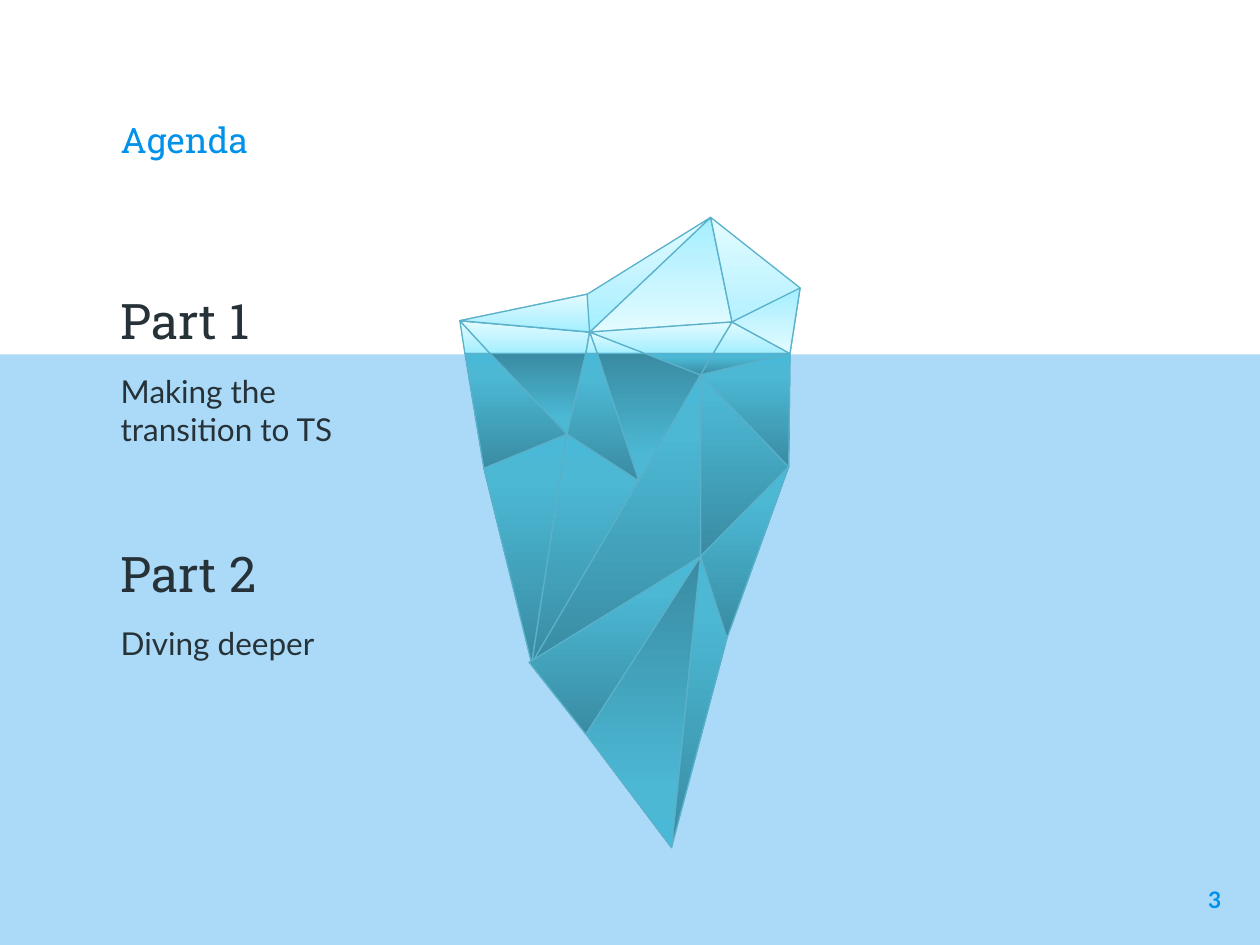
from copy import deepcopy

from lxml.etree import SubElement
from pptx import Presentation
from pptx.dml.color import RGBColor
from pptx.enum.shapes import MSO_SHAPE as Preset
from pptx.enum.text import MSO_ANCHOR as Anchor, PP_ALIGN as Align
from pptx.oxml.ns import qn
from pptx.util import Inches, Pt

COLORS = {"blue": "0091EA", "ink": "263238", "edge": "5AB1C9"}
SHADES = {
    "ice": [(0, "A1EFFF"), (0.35, "BBF2FF"), (1, "E3FCFF")],
    "deep": [(0, "398BA2"), (0.8, "4CB8D4"), (1, "4AB9D8")],
}
HEADING, BODY = "Roboto Slab", "Lato"
WIDTH, HEIGHT = Inches(10), Inches(7.5)
LEFT_SHARE, WATER_SHARE = 0.086, 0.375
COLUMNS, ROWS, WATERLINE = 270, 500, 108

CORNERS = {
    "peak": (199, 0), "shoulder": (270, 56), "tip": (0, 82),
    "ridge": (101, 61), "hollow": (103, 91), "crest": (216, 83),
    "shore1": (4, WATERLINE), "shore2": (24, WATERLINE),
    "shore3": (100, WATERLINE), "shore4": (109, WATERLINE),
    "shore5": (147, WATERLINE), "shore6": (201, WATERLINE),
    "shore7": (262, WATERLINE),
    "hub": (191, 125), "knee": (85, 172), "flank": (19, 199),
    "notch": (142, 209), "elbow": (261, 198), "core": (191, 269),
    "hip": (57, 354), "heel": (55, 353), "keel": (100, 410),
    "fin": (212, 334), "bottom": (168, 500),
}
UP, DOWN = 90, 270
FACETS = [
    ("ice", UP, "shore7 tip shore2"),
    ("ice", DOWN, "peak hollow crest"),
    ("ice", UP, "peak shoulder shore7 crest"),
    ("ice", UP, "tip shore2 shore1"),
    ("ice", UP, "hollow shore3 shore2 tip"),
    ("ice", UP, "peak hollow tip ridge"),
    ("ice", UP, "crest shore7 shore6"),
    ("ice", UP, "shore4 hollow shore5"),
    ("ice", UP, "ridge hollow tip"),
    ("ice", DOWN, "shoulder crest shore7"),
    ("ice", UP, "shore4 hollow shore3"),
    ("deep", UP, "shore7 elbow core hub"),
    ("deep", UP, "knee hip flank"),
    ("deep", DOWN, "shore3 knee shore2"),
    ("deep", UP, "core fin bottom"),
    ("deep", UP, "shore7 hub shore6"),
    ("deep", DOWN, "notch shore4 shore5 hub"),
    ("deep", UP, "notch knee hip"),
    ("deep", UP, "hub hip core"),
    ("deep", UP, "shore2 knee flank shore1"),
    ("deep", UP, "shore7 hub elbow"),
    ("deep", UP, "knee notch shore4 shore3"),
    ("deep", UP, "heel core keel"),
    ("deep", DOWN, "keel bottom core"),
    ("deep", UP, "elbow fin core"),
    ("ice", UP, "hollow crest shore6 shore5"),
    ("deep", UP, "hub shore6 shore5"),
]


def share_box(left, top, width, height):
    """Turn shares of the slide into a box of lengths."""
    return (int(left * WIDTH), int(top * HEIGHT),
            int(width * WIDTH), int(height * HEIGHT))


def add_text(page, box, lines, inset=0.1, anchor=Anchor.TOP, align=Align.LEFT):
    """Write lines of (text, font, size, colour, bold, space before) in a box."""
    frame = page.shapes.add_textbox(*box).text_frame
    frame.word_wrap = True
    frame.vertical_anchor = anchor
    frame.margin_left = frame.margin_right = Inches(0.1)
    frame.margin_top = frame.margin_bottom = Inches(inset)
    frame.text = "\n".join(line[0] for line in lines)
    for para, (_, font, size, color, bold, gap) in zip(frame.paragraphs, lines):
        para.alignment = align
        para.space_before = Pt(gap)
        span = para.runs[0]
        span.font.name, span.font.size, span.font.bold = font, Pt(size), bold
        span.font.color.rgb = RGBColor.from_string(COLORS[color])


def add_part(page, box, title, topic, gap):
    """Place an agenda part: its heading and its topic."""
    add_text(page, box, [(title, HEADING, 28, "ink", False, 0),
                         (topic, BODY, 18, "ink", False, gap)], inset=0.05)


def add_sea(page, box):
    """Place the translucent sea."""
    sea = page.shapes.add_shape(Preset.RECTANGLE, *box)
    sea.shadow.inherit = False
    sea.line.fill.background()
    sea.fill.solid()
    sea.fill.fore_color.rgb = RGBColor.from_string(COLORS["blue"])
    tint = sea._element.spPr.find(".//" + qn("a:srgbClr"))
    SubElement(tint, qn("a:alpha"), val="33000")


def shade_facet(facet, stops, angle):
    """Give a facet its three-stop gradient and thin edge."""
    facet.shadow.inherit = False
    facet.fill.gradient()
    stop_list = facet._element.spPr.find(".//" + qn("a:gsLst"))
    stop_list.append(deepcopy(stop_list[0]))
    for stop, (position, color) in zip(facet.fill.gradient_stops, stops):
        stop.position = position
        stop.color.rgb = RGBColor.from_string(color)
    facet.fill.gradient_angle = angle
    facet.line.color.rgb = RGBColor.from_string(COLORS["edge"])
    facet.line.width = Pt(0.75)


def add_iceberg(page, box):
    """Place the iceberg's facets as one group."""
    left, top, width, height = box
    scale = (width / COLUMNS, height / ROWS)
    group = page.shapes.add_group_shape()
    for shade, angle, names in FACETS:
        start, *others = [CORNERS[name] for name in names.split()]
        builder = group.shapes.build_freeform(*start, scale=scale)
        builder.add_line_segments(others, close=True)
        shade_facet(builder.convert_to_shape(left, top), SHADES[shade], angle)


def build_agenda(page):
    """Compose the agenda slide."""
    add_text(page, share_box(LEFT_SHARE, 0.047, 0.828, 0.136),
             [("Agenda", HEADING, 20, "blue", False, 0)], anchor=Anchor.BOTTOM)
    add_sea(page, share_box(0, WATER_SHARE, 1, 1 - WATER_SHARE))
    add_iceberg(page, share_box(0.365, 0.23, 0.27, 0.667))
    add_part(page, share_box(LEFT_SHARE, 0.301, 0.252, 0.229),
             "Part 1", "Making the transition to TS", 13)
    add_part(page, share_box(LEFT_SHARE, 0.569, 0.23, 0.155),
             "Part 2", "Diving deeper", 12)
    add_text(page, share_box(0.919, 0.924, 0.06, 0.076),
             [("3", BODY, 13, "blue", True, 0)], align=Align.RIGHT)


def main():
    """Build and save the deck."""
    deck = Presentation()
    deck.slide_width, deck.slide_height = WIDTH, HEIGHT
    build_agenda(deck.slides.add_slide(deck.slide_layouts[6]))
    deck.save("out.pptx")


if __name__ == "__main__":
    main()
